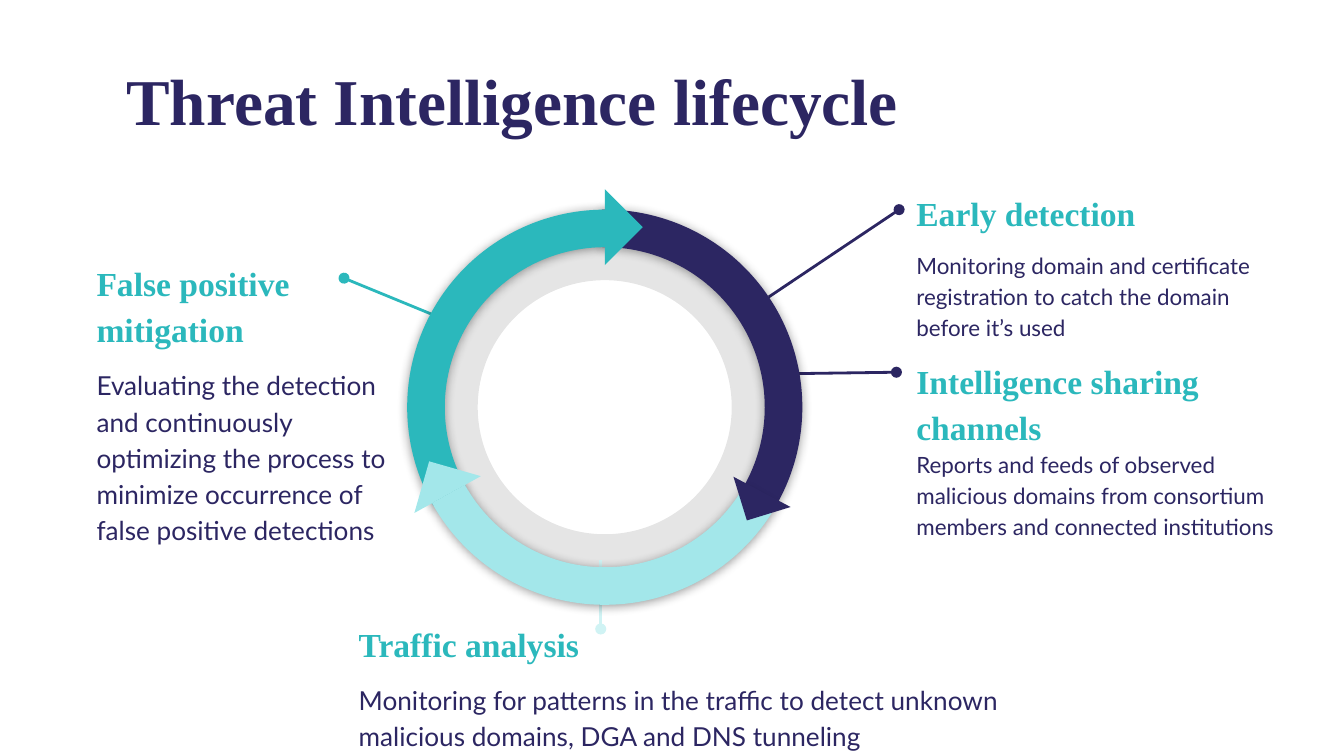
from lxml.etree import SubElement
from pptx import Presentation
from pptx.dml.color import RGBColor
from pptx.enum.shapes import MSO_CONNECTOR, MSO_SHAPE
from pptx.enum.text import MSO_ANCHOR, MSO_AUTO_SIZE, PP_ALIGN
from pptx.oxml.ns import qn
from pptx.util import Inches, Pt

NAVY, TEAL, AQUA, PALE = "2C2662", "2BB8BC", "A3E7EA", "D0F3F4"
SERIF, SANS = "Times New Roman", "Lato"

deck = Presentation()
deck.slide_width = Inches(10)
deck.slide_height = deck.slide_width * 9 // 16
cell = deck.slide_width / 100


def grid(*spans):
    return [round(cell * span) for span in spans]


def paint(fill, code):
    fill.solid()
    fill.fore_color.rgb = RGBColor.from_string(code)


slide = deck.slides.add_slide(deck.slide_layouts[5])
shapes = slide.shapes

title = shapes.title
title.left, title.top, title.width, title.height = grid(9.4, 4.55, 77.4, 5.7)
frame = title.text_frame
frame.text = "Threat Intelligence lifecycle"
frame.auto_size = MSO_AUTO_SIZE.NONE
frame.vertical_anchor = MSO_ANCHOR.MIDDLE
frame.margin_left = frame.margin_right = frame.margin_top = frame.margin_bottom = 0
para = frame.paragraphs[0]
para.alignment = PP_ALIGN.LEFT
font = para.runs[0].font
font.name, font.size, font.bold = SERIF, Pt(35), True
paint(font.fill, NAVY)

ring = shapes.add_shape(MSO_SHAPE.DONUT, *grid(31.1, 16.4, 27.8, 27.8))
ring.adjustments[0] = 0.16
ring.shadow.inherit = False
ring.line.fill.background()
paint(ring.fill, "000000")
tint = ring._element.spPr.find(".//" + qn("a:srgbClr"))
SubElement(tint, qn("a:alpha"), val="10000")

leads = [
    (TEAL, 25.6, 20.7, 34.6, 24.4),
    (NAVY, 66.9, 15.6, 57.2, 22.1),
    (NAVY, 66.7, 27.7, 59.2, 27.8),
    (PALE, 44.7, 46.8, 44.7, 41.7),
]
for code, *ends in leads:
    lead = shapes.add_connector(MSO_CONNECTOR.STRAIGHT, *grid(*ends))
    lead.line.width = Pt(1.5)
    paint(lead.line.fill, code)
    props = lead._element.spPr
    SubElement(props.find(qn("a:ln")), qn("a:headEnd"), type="oval")
    SubElement(props, qn("a:effectLst"))

notes = [
    ((6.2, 18.1, 23.6, 7.3), 14, 8.5, "False positive mitigation",
     "Evaluating the detection and continuously optimizing the process to "
     "minimize occurrence of false positive detections"),
    ((67.2, 12.9, 30.3, 15.7), 12, 8, "Early detection",
     "Monitoring domain and certificate registration to catch the domain "
     "before it’s used"),
    ((67.2, 25.4, 30.3, 15.7), 12, 0, "Intelligence sharing channels",
     "Reports and feeds of observed malicious domains from consortium "
     "members and connected institutions"),
    ((25.7, 44.95, 50.2, 7.3), 14, 8.5, "Traffic analysis",
     "Monitoring for patterns in the traffic to detect unknown malicious "
     "domains, DGA and DNS tunneling"),
]
for place, size, gap, head, body in notes:
    frame = shapes.add_textbox(*grid(*place)).text_frame
    frame.word_wrap = True
    frame.margin_left = frame.margin_right = Inches(0.1)
    frame.margin_top = frame.margin_bottom = Inches(0.1)
    frame.text = head + "\n" + body
    styles = [(SERIF, 18, True, TEAL), (SANS, size, False, NAVY)]
    for para, (face, points, bold, code) in zip(frame.paragraphs, styles):
        para.line_spacing = 1.15
        font = para.runs[0].font
        font.name, font.size, font.bold = face, Pt(points), bold
        paint(font.fill, code)
    frame.paragraphs[1].space_before = Pt(gap)

for turn, code in ((30, NAVY), (271, TEAL), (151, AQUA)):
    arc = shapes.add_shape(MSO_SHAPE.BLOCK_ARC, *grid(30.3, 15.6, 29.4, 29.4))
    arc.adjustments[0] = 143.5
    arc.adjustments[1] = 0
    arc.adjustments[2] = 0.095
    arc.rotation = turn
    arc.line.fill.background()
    paint(arc.fill, code)
    arc.shadow.inherit = False
    glow = SubElement(arc._element.spPr.find(qn("a:effectLst")), qn("a:outerShdw"),
                      blurRad=str(Pt(5.6)), dist=str(Pt(0.8)), dir="5400000",
                      algn="t", rotWithShape="0")
    tint = SubElement(glow, qn("a:srgbClr"), val="000000")
    SubElement(tint, qn("a:alpha"), val="40000")

tips = [
    (TEAL, 43, 14.9, 4, 225),
    (NAVY, 55, 34.9, 3.4, 342.9),
    (AQUA, 31.3, 34.8, 4, 106),
]
for code, left, top, side, turn in tips:
    tip = shapes.add_shape(MSO_SHAPE.RIGHT_TRIANGLE, *grid(left, top, side, side))
    tip.rotation = turn
    tip.shadow.inherit = False
    tip.line.fill.background()
    paint(tip.fill, code)

deck.save("out.pptx")
